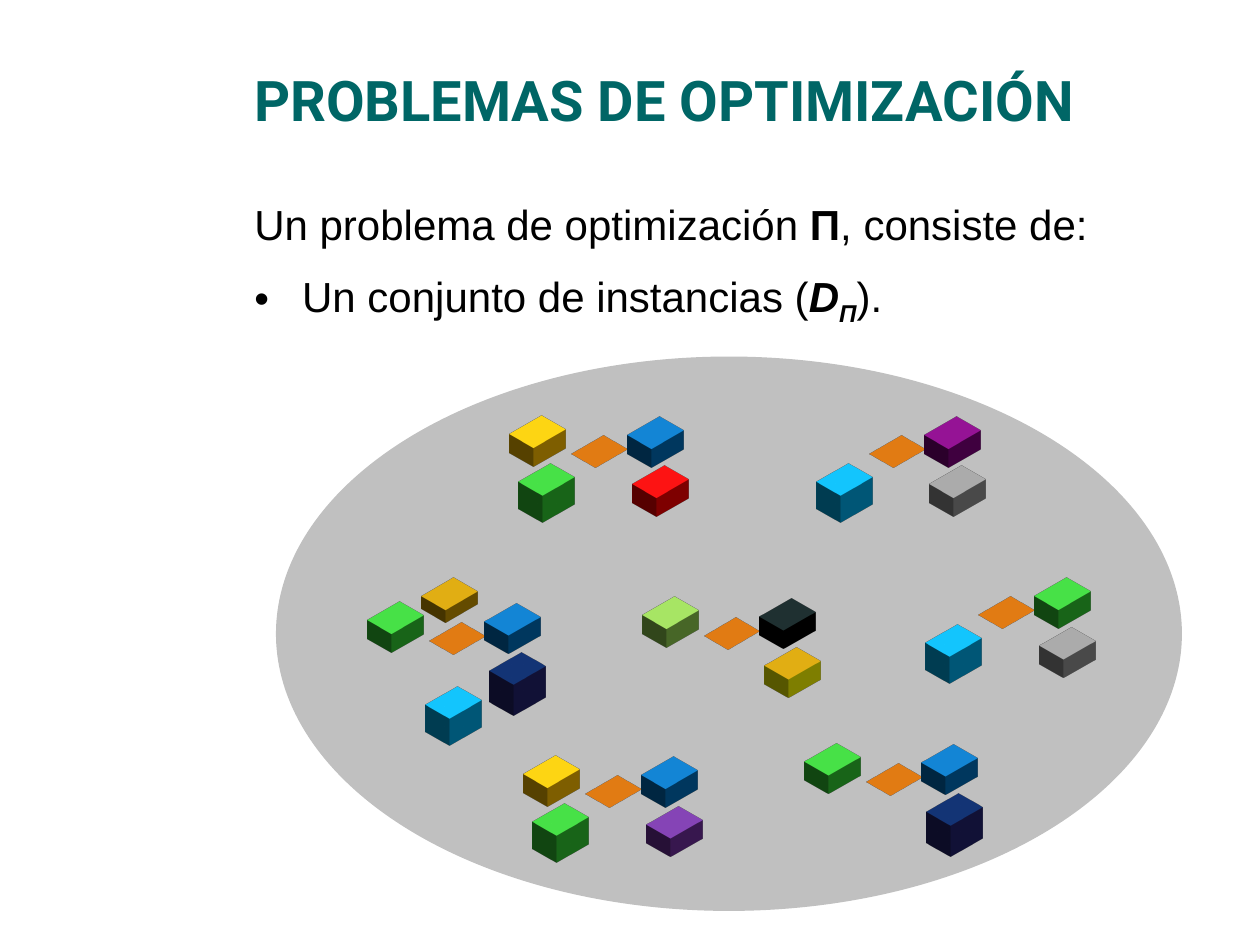
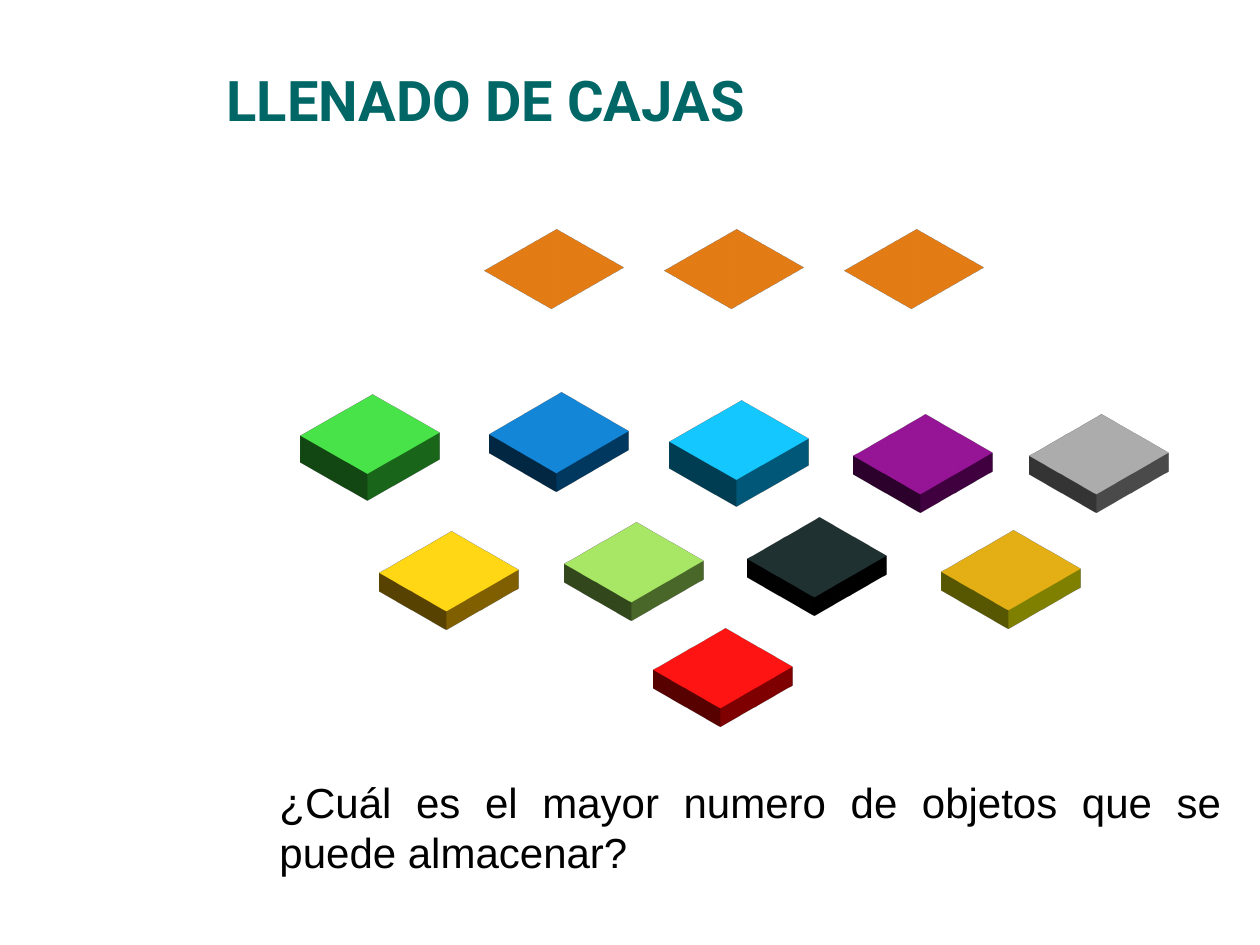
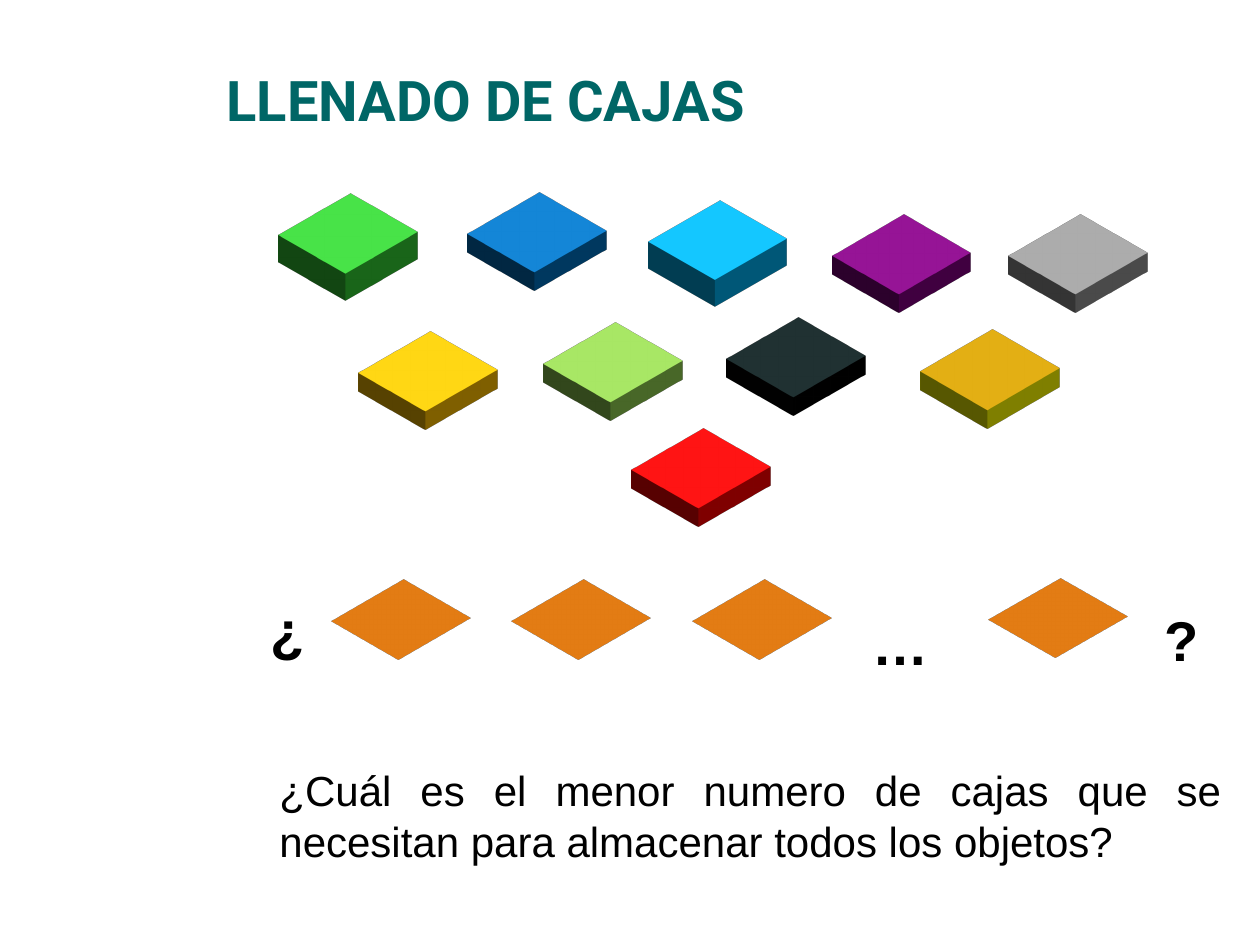
from lxml.etree import SubElement
from pptx import Presentation
from pptx.dml.color import RGBColor
from pptx.enum.shapes import MSO_SHAPE
from pptx.enum.text import MSO_ANCHOR, PP_ALIGN
from pptx.oxml.ns import qn
from pptx.util import Inches, Pt

TEAL, BLACK, OVAL_GREY = "006666", "000000", "C0C0C0"
TITLE_FONT, BODY_FONT = "Roboto", "Arial"

# name: top colour, edge colour, depth
BOXES = {
    "crate": ("CC6600", "CC6600", 0),
    "yellow": ("FFC000", "FFC000", 0.18),
    "blue": ("0070C0", "0070C0", 0.18),
    "red": ("FF0000", "FF0000", 0.18),
    "green": ("33CC33", "33CC33", 0.18),
    "tall green": ("33CC33", "33CC33", 0.26),
    "lime": ("92D050", "92D050", 0.18),
    "black": ("0C1C1D", "000000", 0.18),
    "gold": ("CC9900", "FFFF00", 0.18),
    "ochre": ("CC9900", "CC9900", 0.12),
    "purple": ("800080", "800080", 0.18),
    "violet": ("7030A0", "7030A0", 0.18),
    "grey": ("969696", "969696", 0.18),
    "cyan": ("00B0F0", "00B0F0", 0.26),
    "navy": ("002060", "25256E", 0.3),
}
SMALL, LARGE = (0.36, 0.27), (0.81, 0.75)

SLOTS = {
    "back left": (-0.49, -0.16),
    "back right": (0.44, -0.15),
    "front right": (0.48, 0.24),
    "front left": (-0.42, 0.22),
    "behind": (-0.06, -0.35),
}
INSTANCES = [
    ((4.58, 3.45), {"back left": "yellow", "back right": "blue",
                    "front right": "red", "front left": "tall green"}),
    ((3.45, 4.93), {"back left": "green", "back right": "blue",
                    "front right": "navy", "behind": "ochre"}),
    ((5.63, 4.89), {"back left": "lime", "back right": "black", "front right": "gold"}),
    ((4.69, 6.15), {"back left": "yellow", "back right": "blue",
                    "front right": "violet", "front left": "tall green"}),
    ((6.94, 3.45), {"back right": "purple", "front right": "grey", "front left": "cyan"}),
    ((7.81, 4.73), {"back right": "green", "front right": "grey", "front left": "cyan"}),
    ((6.92, 6.05), {"back left": "green", "back right": "blue", "front right": "navy"}),
]
LOOSE_BOX = ("cyan", 3.42, 5.44)
OBJECTS = [
    ("yellow", 3.16, 4.16), ("blue", 4.03, 3.06), ("red", 5.33, 4.93),
    ("tall green", 2.53, 3.07), ("lime", 4.63, 4.09), ("black", 6.08, 4.05),
    ("gold", 7.62, 4.15), ("purple", 6.92, 3.23), ("grey", 8.32, 3.23),
    ("cyan", 5.46, 3.12),
]
CRATE_STEP = 1.43
OBJECT_SHIFT = (-0.17, -1.59)
MARKS = [("…", 6.83, 4.89, 0.65), ("?", 9.14, 4.86, 0.5), ("¿", 2.05, 4.78, 0.5)]

MOST_OBJECTS = "¿Cuál es el mayor numero de objetos que se puede almacenar?"
FEWEST_CRATES = ("¿Cuál es el menor numero de cajas que se necesitan "
                 "para almacenar todos los objetos?")


def color(code):
    return RGBColor.from_string(code)


def paint(shape, fill):
    shape.shadow.inherit = False
    shape.fill.solid()
    shape.fill.fore_color.rgb = color(fill)
    shape.line.fill.background()


def add_child(parent, tag, **attributes):
    return SubElement(parent, qn(tag), attributes)


def extrude(shape, depth, edge_fill):
    properties = shape._element.spPr
    scene = add_child(properties, "a:scene3d")
    add_child(scene, "a:camera", prst="isometricTopUp")
    add_child(scene, "a:lightRig", rig="threePt", dir="t")
    solid = add_child(properties, "a:sp3d", extrusionH=str(Inches(depth)))
    edge = add_child(solid, "a:extrusionClr")
    add_child(edge, "a:srgbClr", val=edge_fill)


def add_box(shapes, name, left, top, size=LARGE):
    fill, edge_fill, depth = BOXES[name]
    box = shapes.add_shape(
        MSO_SHAPE.RECTANGLE, *[Inches(value) for value in (left, top, *size)])
    paint(box, fill)
    extrude(box, depth, edge_fill)


def add_crates(slide, left, top):
    for i in range(3):
        add_box(slide.shapes, "crate", left + i * CRATE_STEP, top)


def add_objects(slide, dx=0, dy=0):
    for name, left, top in OBJECTS:
        add_box(slide.shapes, name, left + dx, top + dy)


def style(paragraph, size, font=BODY_FONT, fill=BLACK, bold=False):
    paragraph.font.size = Pt(size)
    paragraph.font.name = font
    paragraph.font.color.rgb = color(fill)
    paragraph.font.bold = bold


def add_text(slide, left, top, width, height, text=""):
    frame = slide.shapes.add_textbox(
        Inches(left), Inches(top), Inches(width), Inches(height)).text_frame
    frame.word_wrap = True
    frame.paragraphs[0].text = text
    return frame


def add_title(slide, title, left, width):
    frame = add_text(slide, left, 0.33, width, 0.92, title)
    frame.vertical_anchor = MSO_ANCHOR.MIDDLE
    style(frame.paragraphs[0], 32, TITLE_FONT, TEAL, True)


def add_question(slide, top, text):
    paragraph = add_text(slide, 2.12, top, 7.67, 0.97, text).paragraphs[0]
    style(paragraph, 24)
    paragraph.alignment = PP_ALIGN.JUSTIFY


def add_run(paragraph, text, bold=False, italic=False, baseline=0):
    run = paragraph.add_run()
    run.text = text
    run.font.bold = bold
    run.font.italic = italic
    if baseline:
        run._r.get_or_add_rPr().set("baseline", str(baseline))


def add_bullet(paragraph, indent):
    properties = paragraph._p.get_or_add_pPr()
    properties.set("marL", str(Inches(indent)))
    properties.set("indent", str(-Inches(indent)))
    for tag, attributes in (("a:buFont", {"typeface": BODY_FONT}),
                            ("a:buChar", {"char": "•"})):
        bullet = add_child(properties, tag, **attributes)
        properties.insert_element_before(bullet, "a:tabLst", "a:defRPr", "a:extLst")


def add_definition(slide):
    frame = add_text(slide, 1.92, 1.53, 7.67, 1.21)
    intro, item = frame.paragraphs[0], frame.add_paragraph()
    for paragraph in (intro, item):
        style(paragraph, 24)
    add_run(intro, "Un problema de optimización ")
    add_run(intro, "Π", bold=True)
    add_run(intro, ", consiste de:")
    add_run(item, "Un conjunto de instancias (")
    add_run(item, "D", bold=True, italic=True)
    add_run(item, "Π", bold=True, italic=True, baseline=-25000)
    add_run(item, ").")
    item.space_before = Pt(12)
    add_bullet(item, 0.38)


def add_instance(slide, left, top, contents):
    shapes = slide.shapes.add_group_shape().shapes
    add_box(shapes, "crate", left, top, SMALL)
    for slot, name in contents.items():
        dx, dy = SLOTS[slot]
        add_box(shapes, name, left + dx, top + dy, SMALL)


def build_instances(slide):
    oval = slide.shapes.add_shape(
        MSO_SHAPE.OVAL, Inches(2.19), Inches(2.83), Inches(7.19), Inches(4.4))
    paint(oval, OVAL_GREY)
    add_title(slide, "PROBLEMAS DE OPTIMIZACIÓN", 1.92, 7.67)
    add_definition(slide)
    for position, contents in INSTANCES:
        add_instance(slide, *position, contents)
    add_box(slide.shapes, *LOOSE_BOX, SMALL)


def build_most_objects(slide):
    add_title(slide, "LLENADO DE CAJAS", 1.7, 8.3)
    add_objects(slide)
    add_question(slide, 6.11, MOST_OBJECTS)
    add_crates(slide, 3.99, 1.76)


def build_fewest_crates(slide):
    add_title(slide, "LLENADO DE CAJAS", 1.7, 8.3)
    add_objects(slide, *OBJECT_SHIFT)
    add_question(slide, 6.02, FEWEST_CRATES)
    add_crates(slide, 2.78, 4.54)
    add_box(slide.shapes, "crate", 7.99, 4.53)
    for mark, left, top, width in MARKS:
        paragraph = add_text(slide, left, top, width, 0.53, mark).paragraphs[0]
        style(paragraph, 32, bold=True)
        paragraph.line_spacing = 0.8


def main():
    presentation = Presentation()
    presentation.slide_width = Inches(10)
    presentation.slide_height = Inches(7.5)
    for build in (build_instances, build_most_objects, build_fewest_crates):
        build(presentation.slides.add_slide(presentation.slide_layouts[6]))
    presentation.save("out.pptx")


if __name__ == "__main__":
    main()
